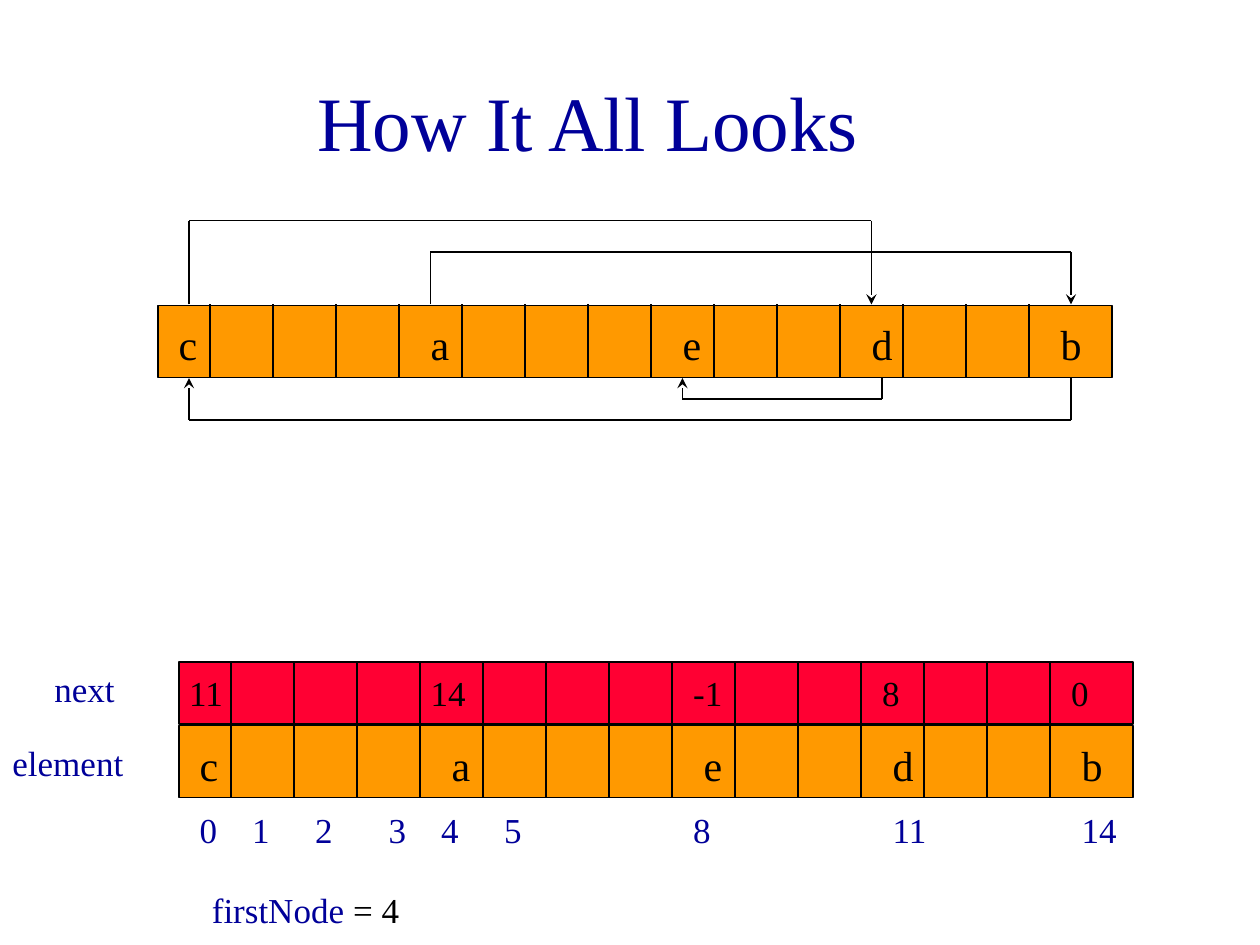
from dataclasses import dataclass
from itertools import pairwise

from lxml.etree import SubElement
from pptx import Presentation
from pptx.dml.color import RGBColor
from pptx.enum.shapes import MSO_CONNECTOR, MSO_SHAPE
from pptx.enum.text import MSO_ANCHOR, MSO_AUTO_SIZE, PP_ALIGN
from pptx.oxml.ns import qn
from pptx.util import Pt


@dataclass(frozen=True)
class Theme:
    """Colours, font and type sizes of the slide."""
    font: str = "Times New Roman"
    navy: RGBColor = RGBColor(0x00, 0x00, 0x99)
    black: RGBColor = RGBColor(0x00, 0x00, 0x00)
    orange: RGBColor = RGBColor(0xFF, 0x99, 0x00)
    red: RGBColor = RGBColor(0xFF, 0x00, 0x33)
    title_size: int = 44
    element_size: int = 24
    label_size: int = 20
    line_width: int = 1


THEME = Theme()
CELL_WIDTH = 36
CELL_COUNT = 15
ARRAY_WIDTH = 545
MEMORY_LEFT = 90.5
ARRAYS_LEFT = 102.5
MEMORY_TOP, MEMORY_BOTTOM = 174, 216
NEXT_TOP, ELEMENT_TOP, ELEMENT_BOTTOM = 378, 414, 456
GLYPH_WIDTHS = {"a": 0.44, "c": 0.44, "e": 0.44, "-": 0.33}

ELEMENTS = {0: "c", 4: "a", 8: "e", 11: "d", 14: "b"}
NEXT_VALUES = {0: "11", 4: "14", 8: "-1", 11: "8", 14: "0"}
INDICES = {index: str(index) for index in (0, 1, 2, 3, 4, 5, 8, 11, 14)}


def add_text(slide, left, top, width, height, runs, size, wrap=True):
    """Add a text box of (text, colour) runs and return its shape."""
    shape = slide.shapes.add_textbox(Pt(left), Pt(top), Pt(width), Pt(height))
    frame = shape.text_frame
    frame.word_wrap = wrap
    frame.auto_size = MSO_AUTO_SIZE.SHAPE_TO_FIT_TEXT
    for text, color in runs:
        run = frame.paragraphs[0].add_run()
        run.text = text
        run.font.name = THEME.font
        run.font.size = Pt(size)
        run.font.color.rgb = color
    return shape


def add_title(slide, text):
    """Add the centred slide title."""
    shape = add_text(slide, 30, 24, 612, 90, [(text, THEME.navy)], THEME.title_size)
    shape.text_frame.auto_size = MSO_AUTO_SIZE.NONE
    shape.text_frame.vertical_anchor = MSO_ANCHOR.MIDDLE
    shape.text_frame.paragraphs[0].alignment = PP_ALIGN.CENTER


def add_line(slide, start, end, arrow=False):
    """Add a straight black line, with an arrowhead at its end if asked."""
    connector = slide.shapes.add_connector(
        MSO_CONNECTOR.STRAIGHT, *(Pt(value) for value in (*start, *end)))
    connector.line.color.rgb = THEME.black
    connector.line.width = Pt(THEME.line_width)
    if arrow:
        SubElement(connector.line._get_or_add_ln(), qn("a:tailEnd"), type="stealth")
    SubElement(connector._element.spPr, qn("a:effectLst"))


def add_array(slide, left, top, bottom, color):
    """Add a filled bar divided into array cells."""
    shape = slide.shapes.add_shape(
        MSO_SHAPE.RECTANGLE, Pt(left), Pt(top + 0.5), Pt(ARRAY_WIDTH), Pt(bottom - top - 0.75))
    shape.shadow.inherit = False
    shape.fill.solid()
    shape.fill.fore_color.rgb = color
    shape.line.color.rgb = THEME.black
    shape.line.width = Pt(THEME.line_width)
    for index in range(CELL_COUNT - 1):
        x = left + 29.5 + index * CELL_WIDTH
        add_line(slide, (x, top), (x, bottom))


def add_cell_labels(slide, labels, left, top, size, color, nudges):
    """Add one label per cell index, moved by its nudge if it has one."""
    for index, text in labels.items():
        x = left + index * CELL_WIDTH + nudges.get(index, 0)
        width = 14.4 + size * sum(GLYPH_WIDTHS.get(glyph, 0.5) for glyph in text)
        add_text(slide, x, top, width, size * 1.2 + 7.2, [(text, color)], size, wrap=False)


def add_link(slide, start_x, end_x, edge, level):
    """Add a three-part link between two cells, ending in an arrow."""
    points = [(start_x, edge), (start_x, level), (end_x, level), (end_x, edge)]
    segments = list(pairwise(points))
    for segment in segments:
        add_line(slide, *segment, arrow=segment == segments[-1])


def main():
    """Build the slide and save it."""
    presentation = Presentation()
    presentation.slide_width, presentation.slide_height = Pt(720), Pt(540)
    slide = presentation.slides.add_slide(presentation.slide_layouts[6])
    add_title(slide, "How It All Looks")

    add_array(slide, MEMORY_LEFT, MEMORY_TOP, MEMORY_BOTTOM, THEME.orange)
    add_cell_labels(slide, ELEMENTS, 95, 178.5, THEME.element_size, THEME.black, {})
    add_link(slide, 246, 612, MEMORY_TOP, 144)
    add_link(slide, 612, 108, MEMORY_BOTTOM, 240)
    add_link(slide, 108, 498, MEMORY_TOP, 126)
    add_link(slide, 504, 390, MEMORY_BOTTOM, 228)

    add_array(slide, ARRAYS_LEFT, ELEMENT_TOP, ELEMENT_BOTTOM, THEME.orange)
    add_cell_labels(slide, ELEMENTS, 107, 419, THEME.element_size, THEME.black, {})
    add_array(slide, ARRAYS_LEFT, NEXT_TOP, ELEMENT_TOP, THEME.red)
    add_cell_labels(slide, NEXT_VALUES, 101, 380, THEME.label_size, THEME.black, {4: -6})
    add_cell_labels(slide, INDICES, 101, 458.5, THEME.label_size, THEME.navy,
                    dict.fromkeys((0, 3, 11, 14), 6))

    captions = [
        (114, 504, 288, [("firstNode ", THEME.navy), ("= 4", THEME.black)]),
        (24, 378, 60, [("next", THEME.navy)]),
        (0, 420, 90, [("element", THEME.navy)]),
    ]
    for left, top, width, runs in captions:
        add_text(slide, left, top, width, 31, runs, THEME.label_size)
    presentation.save("out.pptx")


if __name__ == "__main__":
    main()
